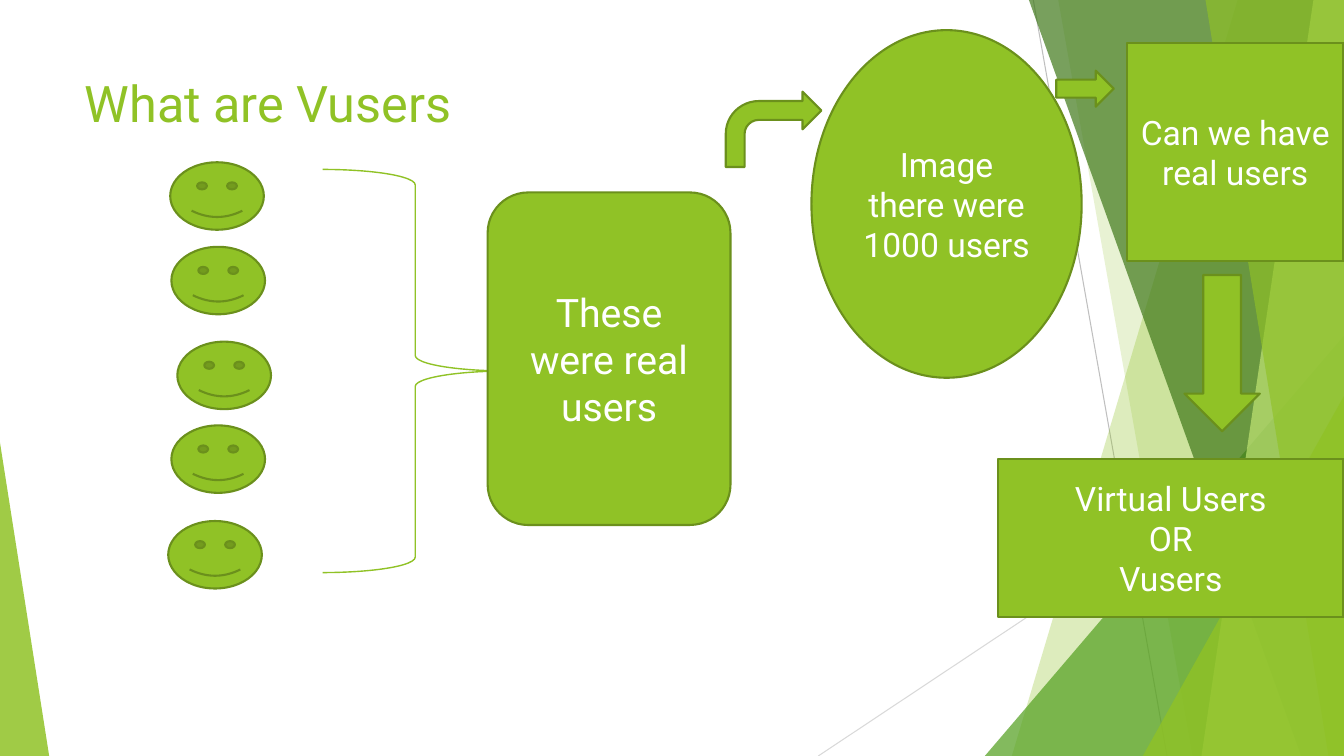
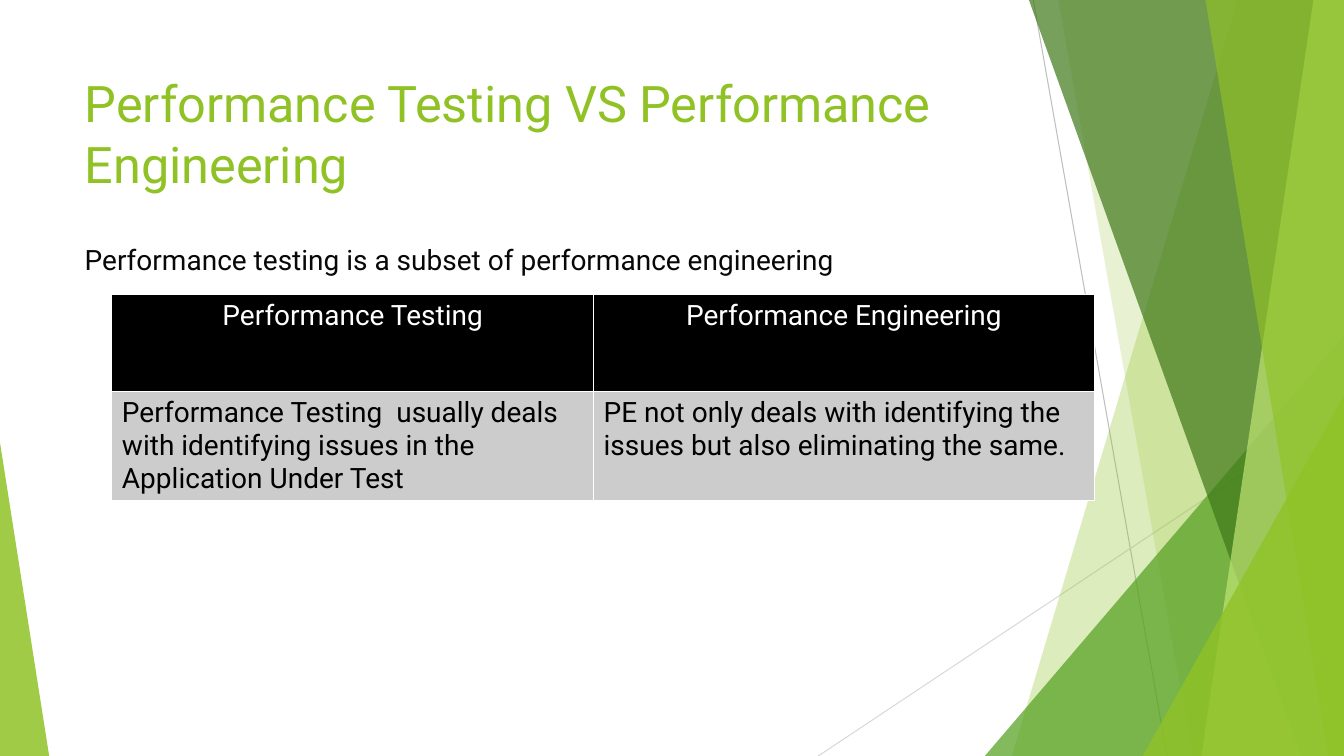
from lxml.etree import SubElement
from pptx import Presentation
from pptx.dml.color import RGBColor
from pptx.enum.shapes import MSO_CONNECTOR, MSO_SHAPE as Preset
from pptx.enum.text import MSO_ANCHOR as Anchor, PP_ALIGN as Align
from pptx.oxml.ns import qn
from pptx.util import Cm, Pt

GREEN = RGBColor(0x90, 0xC2, 0x26)
DARK_GREEN = RGBColor(0x6B, 0x90, 0x1C)
LEAF = RGBColor(0x54, 0xA0, 0x21)
FOREST = RGBColor(0x3F, 0x78, 0x19)
LIME = RGBColor(0xC0, 0xE4, 0x74)
GREY = RGBColor(0xBF, 0xBF, 0xBF)
PALE_GREY = RGBColor(0xD9, 0xD9, 0xD9)
CELL_GREY = RGBColor(0xCC, 0xCC, 0xCC)
INK = RGBColor(0x08, 0x08, 0x08)
BLACK = RGBColor(0, 0, 0)
WHITE = RGBColor(0xFF, 0xFF, 0xFF)
FONT = "Roboto"

# All lengths are in centimetres.
WIDTH, HEIGHT = 33.87, 19.05
TITLE_BOX = (1.88, 1.7, 23.88, 3.66)
BODY_BOX = (1.88, 5.99, 23.88, 10.77)
BODY_HANG = 0.97

# Start, end, colour
THIN_LINES = [
    ((26.04, 0), (29.41, HEIGHT), GREY),
    ((WIDTH, 10.24), (20.62, HEIGHT), PALE_GREY),
]
# A band has (x at top, x at bottom) and runs to the right edge;
# a triangle has (left, top, width, tip) and stands on the bottom edge.
FACETS = [
    ((31.19, 25.5), GREEN, 30),
    ((26.67, 30.05), GREEN, 20),
    ((24.82, 8.46, 9.05, 1), LEAF, 72),
    ((25.93, 32.79), FOREST, 70),
    ((33.1, 30.28), LIME, 70),
    ((30.38, 33.48), GREEN, 65),
    ((28.8, 9.98, 5.07, 1), GREEN, 80),
    ((0, 11.15, 1.24, 0), GREEN, 85),
]

VUSERS_TITLE = "What are Vusers"
FACE_SIZE = (2.36, 1.7)
FACE_CORNERS = [(4.29, 4.09), (4.32, 6.22), (4.47, 8.61), (4.32, 10.72), (4.24, 13.13)]
BRACE_BOX = (8.13, 4.27, 4.67, 10.16)
# Preset, box, text, size
FLOW = [
    (Preset.ROUNDED_RECTANGLE, (12.29, 4.85, 6.12, 8.38), "These were real users", 28),
    (Preset.OVAL, (20.45, 0.76, 6.81, 8.76), "Image there were 1000 users", 24),
    (Preset.BENT_ARROW, (18.29, 2.31, 2.41, 1.9), "", 24),
    (Preset.RECTANGLE, (28.4, 1.09, 5.46, 5.49), "Can we have real users", 24),
    (Preset.RIGHT_ARROW, (26.62, 1.78, 1.45, 0.91), "", 24),
    (Preset.DOWN_ARROW, (29.85, 6.93, 1.9, 3.94), "", 24),
    (Preset.RECTANGLE, (25.15, 11.56, 8.71, 3.99), "Virtual Users\nOR\nVusers", 24),
]

COMPARISON_TITLE = "Performance Testing VS Performance Engineering"
COMPARISON_LEAD = "Performance testing is a subset of performance engineering"
TABLE_CORNER = (2.82, 7.42)
COLUMN_WIDTHS = (12.14, 12.62)
ROW_HEIGHT = 2.44
COMPARISON = [
    ("Performance Testing", "Performance Engineering"),
    (
        "Performance Testing  usually deals with identifying issues in the Application Under Test",
        "PE not only deals with identifying the issues but also eliminating the same.",
    ),
]
# Fill, text colour, alignment of each row
ROW_STYLES = [(BLACK, WHITE, Align.CENTER), (CELL_GREY, BLACK, Align.LEFT)]


def lengths(values):
    return [Cm(value) for value in values]


def place(shape, box):
    for name, value in zip(("left", "top", "width", "height"), lengths(box)):
        setattr(shape, name, value)


def write(frame, text, size, color, **para_format):
    frame.text = text
    font_format = {"name": FONT, "size": Pt(size), "bold": False}
    for para in frame.paragraphs:
        for name, value in para_format.items():
            setattr(para, name, value)
        for span in para.runs:
            for name, value in font_format.items():
                setattr(span.font, name, value)
            span.font.color.rgb = color


def paint(shape, color, opacity=100):
    shape.shadow.inherit = False
    shape.fill.solid()
    shape.fill.fore_color.rgb = color
    if opacity < 100:
        tint = shape.element.spPr.find(qn("a:solidFill"))[0]
        SubElement(tint, qn("a:alpha"), val=str(opacity * 1000))


def add_thin_line(page, start, end, color):
    line = page.shapes.add_connector(MSO_CONNECTOR.STRAIGHT, *lengths(start + end))
    line.line.color.rgb = color
    line.line.width = Pt(0.75)
    SubElement(line.element.spPr, qn("a:effectLst"))
    return line


def add_facet(page, outline, color, opacity):
    if len(outline) == 2:
        top_x, bottom_x = outline
        corners = [(WIDTH, 0), (WIDTH, HEIGHT), (bottom_x, HEIGHT)]
        builder = page.shapes.build_freeform(Cm(top_x), 0)
        builder.add_line_segments([lengths(corner) for corner in corners])
        facet = builder.convert_to_shape()
    else:
        left, top, width, tip = outline
        box = lengths((left, top, width, HEIGHT - top))
        facet = page.shapes.add_shape(Preset.ISOSCELES_TRIANGLE, *box)
        facet.adjustments[0] = tip
    paint(facet, color, opacity)
    facet.line.fill.background()
    return facet


def set_up_master(deck, page):
    """Draw the backdrop on a page, then move it behind everything on the master."""
    master = deck.slide_master
    for holder, box in zip(master.placeholders, (TITLE_BOX, BODY_BOX)):
        place(holder, box)
        holder.text_frame.vertical_anchor = Anchor.TOP
    backdrop = [add_thin_line(page, *line) for line in THIN_LINES]
    backdrop += [add_facet(page, *facet) for facet in FACETS]
    for index, part in enumerate(backdrop):
        part.element.xpath(".//p:cNvPr")[0].set("id", str(100 + index))
        master.shapes.element.insert(2 + index, part.element)


def add_page(deck, layout_name, title):
    page = deck.slides.add_slide(deck.slide_layouts.get_by_name(layout_name))
    write(page.shapes.title.text_frame, title, 36, GREEN, alignment=Align.LEFT)
    return page


def add_flow_shape(page, preset, box, text="", size=24):
    shape = page.shapes.add_shape(preset, *lengths(box))
    paint(shape, GREEN)
    shape.line.color.rgb = DARK_GREEN
    shape.line.width = Pt(1.5)
    if text:
        shape.text_frame.vertical_anchor = Anchor.MIDDLE
        write(shape.text_frame, text, size, WHITE, alignment=Align.CENTER)


def fill_vusers_page(page):
    for corner in FACE_CORNERS:
        add_flow_shape(page, Preset.SMILEY_FACE, corner + FACE_SIZE)
    brace = page.shapes.add_shape(Preset.RIGHT_BRACE, *lengths(BRACE_BOX))
    brace.shadow.inherit = False
    brace.fill.background()
    brace.line.color.rgb = GREEN
    brace.line.width = Pt(1)
    for step in FLOW:
        add_flow_shape(page, *step)


def add_borders(cell, color, width):
    props = cell._tc.get_or_add_tcPr()
    for index, side in enumerate(("a:lnL", "a:lnR", "a:lnT", "a:lnB")):
        border = SubElement(props, qn(side), w=str(Pt(width)))
        SubElement(SubElement(border, qn("a:solidFill")), qn("a:srgbClr"), val=str(color))
        props.insert(index, border)


def fill_comparison_page(page):
    frame = page.placeholders[1].text_frame
    write(frame, COMPARISON_LEAD, 20, INK, space_before=Pt(10), alignment=Align.LEFT)
    props = frame.paragraphs[0]._p.get_or_add_pPr()
    props.set("marL", str(Cm(BODY_HANG)))
    props.set("indent", str(-Cm(BODY_HANG)))
    SubElement(props, qn("a:buNone"))

    size = (sum(COLUMN_WIDTHS), ROW_HEIGHT * len(COMPARISON))
    table = page.shapes.add_table(
        len(COMPARISON), len(COLUMN_WIDTHS), *lengths(TABLE_CORNER + size)
    ).table
    table.first_row = table.horz_banding = False
    for column, width in zip(table.columns, COLUMN_WIDTHS):
        column.width = Cm(width)
    for row, texts, (fill, color, align) in zip(table.rows, COMPARISON, ROW_STYLES):
        row.height = Cm(ROW_HEIGHT)
        for cell, text in zip(row.cells, texts):
            cell.fill.solid()
            cell.fill.fore_color.rgb = fill
            write(cell.text_frame, text, 20, color, alignment=align, space_before=Pt(4))
            add_borders(cell, WHITE, 1)


def main():
    deck = Presentation()
    deck.slide_width, deck.slide_height = lengths((WIDTH, HEIGHT))
    vusers_page = add_page(deck, "Title Only", VUSERS_TITLE)
    set_up_master(deck, vusers_page)
    fill_vusers_page(vusers_page)
    fill_comparison_page(add_page(deck, "Title and Content", COMPARISON_TITLE))
    deck.save("out.pptx")


if __name__ == "__main__":
    main()
